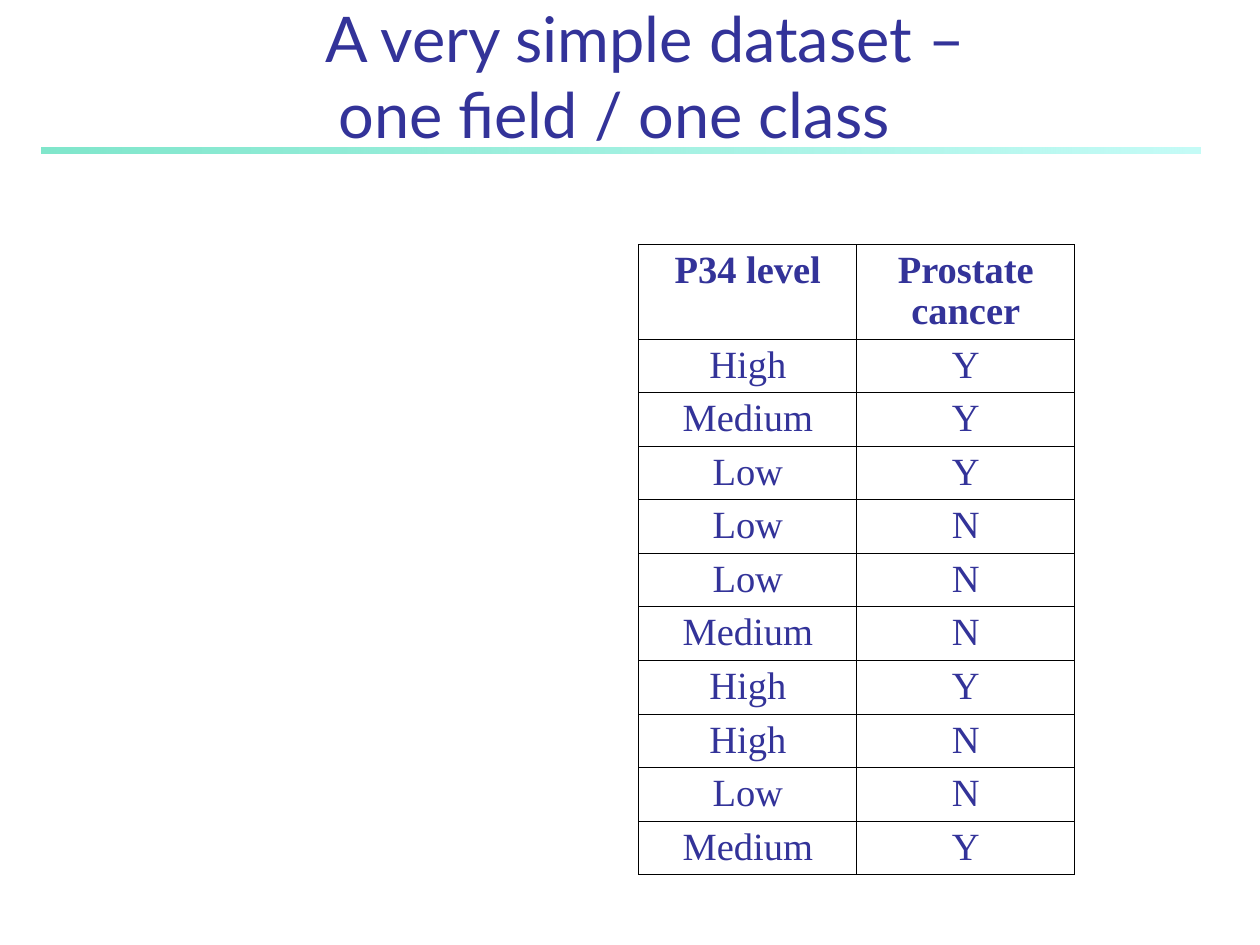
from lxml.etree import SubElement
from pptx import Presentation
from pptx.dml.color import RGBColor
from pptx.enum.shapes import MSO_SHAPE
from pptx.enum.text import MSO_ANCHOR, MSO_AUTO_SIZE, PP_ALIGN
from pptx.oxml.ns import qn
from pptx.util import Inches, Pt

COLORS = {
    "text": "333399",
    "paper": "FFFFFF",
    "border": "000000",
    "bar_start": "00CE98",
    "bar_end": "8FF9EF",
}
HEADER = ["P34 level", "Prostate\ncancer"]
RECORDS = [
    ("High", "Y"), ("Medium", "Y"), ("Low", "Y"), ("Low", "N"), ("Low", "N"),
    ("Medium", "N"), ("High", "Y"), ("High", "N"), ("Low", "N"), ("Medium", "Y"),
]


def rgb(name):
    return RGBColor.from_string(COLORS[name])


def add_run(p, text, font, size, bold=False):
    r = p.add_run()
    r.text = text
    r.font.name = font
    r.font.size = Pt(size)
    r.font.bold = bold
    r.font.color.rgb = rgb("text")


def add_tab_stops(p, count):
    tabs = SubElement(p._p.get_or_add_pPr(), qn("a:tabLst"))
    for inch in range(count):
        SubElement(tabs, qn("a:tab"), pos=str(Inches(inch)), algn="l")


def add_title(s, lines):
    sp = s.shapes.title
    sp.left, sp.top, sp.width, sp.height = Inches(0.37), Inches(0), Inches(9.63), Inches(1.25)
    tf = sp.text_frame
    tf.auto_size = MSO_AUTO_SIZE.NONE
    tf.word_wrap = True
    tf.vertical_anchor = MSO_ANCHOR.BOTTOM
    p = tf.paragraphs[0]
    p.alignment = PP_ALIGN.CENTER
    add_tab_stops(p, 8)
    for i, line in enumerate(lines):
        if i:
            p.add_line_break()
        add_run(p, line, "Lato", 36)


def add_gradient_bar(s):
    sp = s.shapes.add_shape(MSO_SHAPE.RECTANGLE, Inches(0.33), Inches(1.17), Inches(9.2), Inches(0.05))
    sp.shadow.inherit = False
    sp.line.fill.background()
    sp.fill.gradient()
    sp.fill.gradient_angle = 0
    stops = zip(sp.fill.gradient_stops, (0, 1), ("bar_start", "bar_end"), (50, 52))
    for stop, position, color, opacity in stops:
        stop.position = position
        stop.color.rgb = rgb(color)
        clr = stop._gs.find(qn("a:srgbClr"))
        SubElement(clr, qn("a:alpha"), val=str(opacity * 1000))
    s.shapes._spTree.insert(2, sp._element)


def add_borders(cell):
    tc_pr = cell._tc.get_or_add_tcPr()
    for side in ("lnL", "lnR", "lnT", "lnB"):
        ln = SubElement(tc_pr, qn(f"a:{side}"), w=str(Pt(0.45)))
        fill = SubElement(ln, qn("a:solidFill"))
        SubElement(fill, qn("a:srgbClr"), val=COLORS["border"])


def fill_cell(cell, text, bold):
    add_borders(cell)
    cell.fill.solid()
    cell.fill.fore_color.rgb = rgb("paper")
    tf = cell.text_frame
    for i, line in enumerate(text.split("\n")):
        p = tf.add_paragraph() if i else tf.paragraphs[0]
        p.alignment = PP_ALIGN.CENTER
        p.line_spacing = 0.96
        add_run(p, line, "Times New Roman", 22, bold)


def add_data_table(s):
    rows = [HEADER, *RECORDS]
    frame = s.shapes.add_table(len(rows), 2, Inches(5.07), Inches(1.94), Inches(3.46), Inches(4.43))
    table = frame.table
    table.first_row = False
    table.horz_banding = False
    for column in table.columns:
        column.width = Inches(1.73)
    for i, row in enumerate(rows):
        table.rows[i].height = Inches(0.37 if i else 0.73)
        for j, text in enumerate(row):
            fill_cell(table.cell(i, j), text, bold=i == 0)


def main():
    prs = Presentation()
    prs.slide_width, prs.slide_height = Inches(10), Inches(7.5)
    s = prs.slides.add_slide(prs.slide_layouts[5])
    add_gradient_bar(s)
    add_title(s, ["A very simple dataset – ", "one field / one class\t"])
    add_data_table(s)
    prs.save("out.pptx")


if __name__ == "__main__":
    main()
